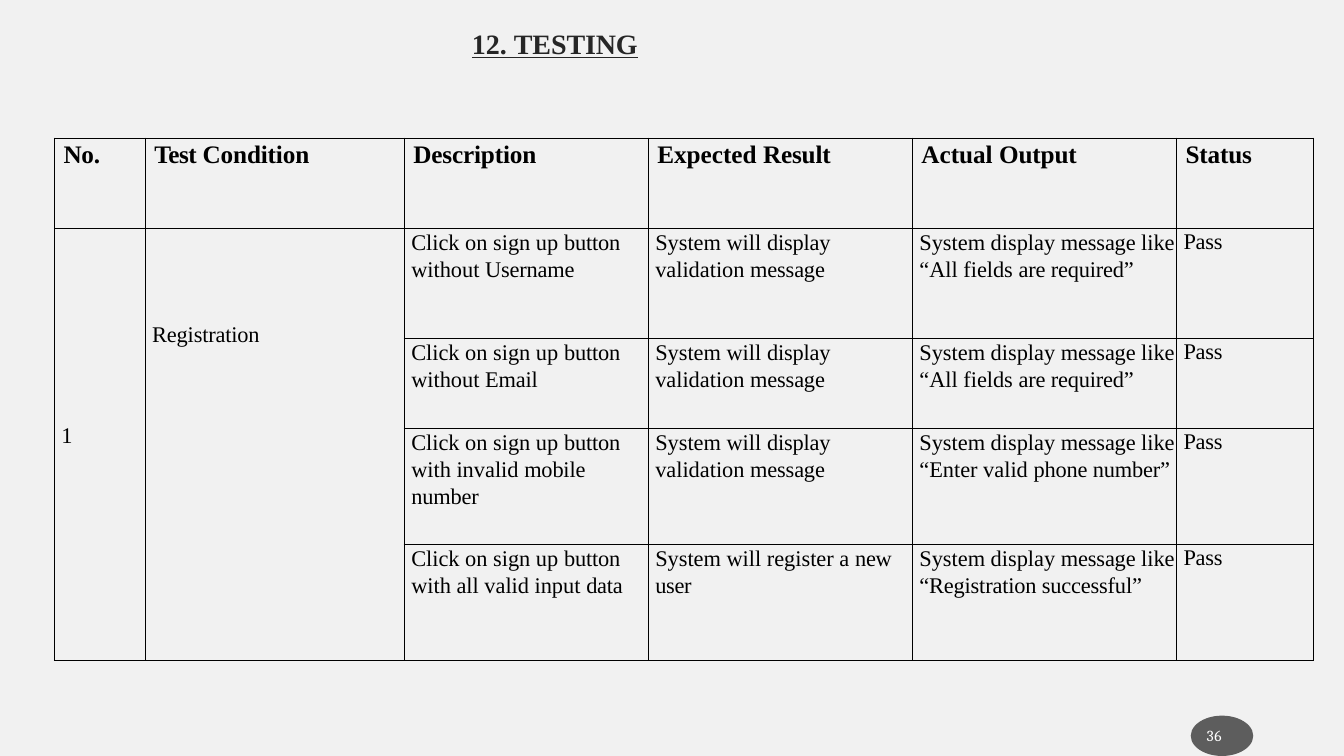
"""Build the testing slide with its table of registration test cases."""
from lxml import etree
from pptx import Presentation
from pptx.dml.color import RGBColor
from pptx.enum.shapes import MSO_SHAPE
from pptx.oxml.ns import qn
from pptx.util import Inches, Pt

OVAL = MSO_SHAPE.OVAL
BLACK = RGBColor(0x00, 0x00, 0x00)
WHITE = RGBColor(0xFF, 0xFF, 0xFF)
PAPER = RGBColor(0xF1, 0xF1, 0xF1)
TITLE_GREY = RGBColor(0x26, 0x26, 0x26)
BADGE_GREY = RGBColor(0x1C, 0x1C, 0x1C)
SERIF = "Times New Roman"

COLUMN_WIDTHS = (0.9, 2.57, 2.42, 2.62, 2.62, 1.36)
ROW_HEIGHTS = (0.9, 1.09, 0.89, 1.15, 1.15)
HEADINGS = (
    [("No.", -0.2)],
    [("Test ", -0.3), ("Condition", -0.1)],
    [("Description", -0.1)],
    [("Expected ", 0), ("Result", -0.1)],
    [("Actual ", 0), ("Output", -0.1)],
    [("Status", -0.1)],
)
CLICK = [("Click on sign up ", 0), ("button ", -0.1)]
MESSAGE = [("System display ", 0), ("message ", -0.1)]
VALIDATION = [("System will ", 0), ("display ", -0.1), ("validation ", 0), ("message", -0.1)]
REQUIRED = MESSAGE + [("like “All fields ", 0), ("are ", -0.2), ("required”", -0.1)]
PASS = [("Pass", -0.2)]
TEST_CASES = (
    (CLICK + [("without ", 0), ("Username", -0.1)], VALIDATION, REQUIRED),
    (CLICK + [("without ", 0), ("Email", -0.1)], VALIDATION, REQUIRED),
    (
        CLICK + [("with invalid ", 0), ("mobile number", -0.1)],
        VALIDATION,
        MESSAGE + [("like “Enter valid ", 0), ("phone number”", -0.1)],
    ),
    (
        CLICK + [("with all valid input ", 0), ("data", -0.2)],
        [("System will register a ", 0), ("new user", -0.2)],
        MESSAGE + [("like ", 0), ("“Registration successful”", -0.1)],
    ),
)


def add_spans(para, spans, size, color=BLACK, font=SERIF, bold=False, underline=False):
    """Append runs, each given as text and letter spacing in points."""
    for text, spacing in spans:
        span = para.add_run()
        span.text = text
        span.font.name = font
        span.font.size = Pt(size)
        span.font.bold = bold
        span.font.underline = underline
        span.font.color.rgb = color
        span.font._element.set("spc", str(round(spacing * 100)))


def set_margins(target, left, top):
    """Set the left and top insets and clear the others."""
    target.margin_left = Inches(left)
    target.margin_top = Inches(top)
    target.margin_right = target.margin_bottom = 0


def add_label(page, left, top, width, height, indent, inset, spans, **style):
    """Add a text box holding one paragraph."""
    box = page.shapes.add_textbox(Inches(left), Inches(top), Inches(width), Inches(height))
    box.text_frame.word_wrap = True
    set_margins(box.text_frame, indent, inset)
    add_spans(box.text_frame.paragraphs[0], spans, **style)


def add_badge(page):
    """Add the translucent oval behind the page number."""
    badge = page.shapes.add_shape(OVAL, Inches(11.81), Inches(7.1), Inches(0.62), Inches(0.4))
    badge.shadow.inherit = False
    badge.line.fill.background()
    badge.fill.solid()
    badge.fill.fore_color.rgb = BADGE_GREY
    color = badge._element.spPr.find(qn("a:solidFill"))[0]
    etree.SubElement(color, qn("a:alpha")).set("val", "69000")


def add_borders(cell):
    """Draw a thin black line on every side of a cell."""
    properties = cell._tc.get_or_add_tcPr()
    for position, side in enumerate(("a:lnL", "a:lnR", "a:lnT", "a:lnB")):
        line = etree.Element(qn(side), w=str(Pt(1)))
        fill = etree.SubElement(line, qn("a:solidFill"))
        etree.SubElement(fill, qn("a:srgbClr")).set("val", str(BLACK))
        properties.insert(position, line)


def fill_cell(cell, spans, left=0.07, top=0, size=16, bold=False, leading=None):
    """Write one paragraph into a table cell."""
    set_margins(cell, left, top)
    para = cell.text_frame.paragraphs[0]
    if leading:
        para.line_spacing = Pt(leading)
    add_spans(para, spans, size, bold=bold)


def add_test_table(page):
    """Add the table of test cases."""
    table = page.shapes.add_table(
        len(ROW_HEIGHTS), len(COLUMN_WIDTHS), Inches(0.54), Inches(1.37),
        Inches(sum(COLUMN_WIDTHS)), Inches(sum(ROW_HEIGHTS)),
    ).table
    table.first_row = table.horz_banding = False
    for column, width in zip(table.columns, COLUMN_WIDTHS):
        column.width = Inches(width)
    for row, height in zip(table.rows, ROW_HEIGHTS):
        row.height = Inches(height)
    for cell in table.iter_cells():
        cell.fill.background()
        set_margins(cell, 0, 0)
        add_borders(cell)
    for index, heading in enumerate(HEADINGS):
        fill_cell(table.cell(0, index), heading, left=0.09, top=0.03, size=18, bold=True)
    for index in (0, 1):
        table.cell(1, index).merge(table.cell(len(TEST_CASES), index))
    fill_cell(table.cell(1, 0), [("1", -0.5)], top=1.93)
    fill_cell(table.cell(1, 1), [("Registration", -0.1)], top=0.93)
    for row, case in enumerate(TEST_CASES, start=1):
        for column, spans in enumerate(case, start=2):
            fill_cell(table.cell(row, column), spans, leading=19.2)
        fill_cell(table.cell(row, 5), PASS, leading=18.6)


def main():
    """Build and save the deck."""
    deck = Presentation()
    deck.slide_width, deck.slide_height = Inches(13.33), Inches(7.5)
    page = deck.slides.add_slide(deck.slide_layouts[6])
    page.background.fill.solid()
    page.background.fill.fore_color.rgb = PAPER
    add_badge(page)
    add_test_table(page)
    add_label(page, 11.87, 7.2, 0.44, 0.21, 0.1, 0, [("36", 0.4)],
              size=11, color=WHITE, font="Cambria")
    add_label(page, 3.32, 0.07, 6.7, 1.03, 1.36, 0.19,
              [("12.", 0), (" ", -0.4), ("TESTING", -0.1)],
              size=20, color=TITLE_GREY, bold=True, underline=True)
    deck.save("out.pptx")


if __name__ == "__main__":
    main()
